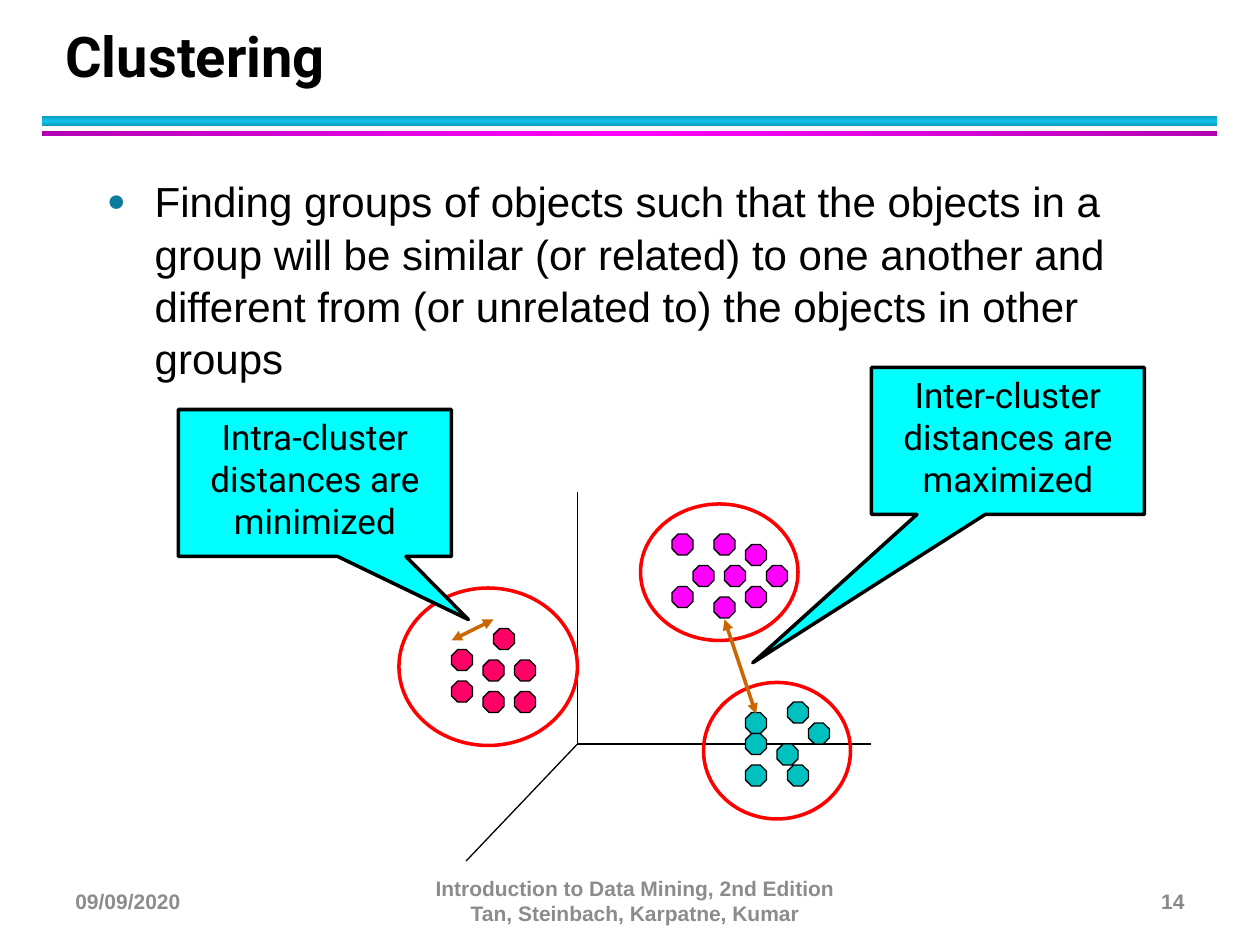
from lxml import etree
from pptx import Presentation
from pptx.dml.color import RGBColor
from pptx.enum.shapes import MSO_CONNECTOR, MSO_SHAPE as Shape
from pptx.enum.text import MSO_ANCHOR as Anchor, PP_ALIGN as Align
from pptx.oxml import parse_xml
from pptx.oxml.ns import nsdecls, qn
from pptx.util import Inches, Pt

TITLE = "Clustering"
DEFINITION = ("Finding groups of objects such that the objects in a group will be similar "
              "(or related) to one another and different from (or unrelated to) "
              "the objects in other groups")
# text, left, width, alignment, colour
FOOTERS = [
    ("09/09/2020", 0.5, 2.33, Align.LEFT, "8C8C8C"),
    ("Introduction to Data Mining, 2nd Edition\vTan, Steinbach, Karpatne, Kumar",
     3.33, 3.42, Align.CENTER, "8C8C8C"),
    ("14", 7.17, 2.33, Align.RIGHT, "898989"),
]
# top, height, edge colour, middle colour, angle
RULES = [(0.92, 0.08, "0E9BBA", "12C2E9", 90), (1.04, 0.04, "B200B2", "FF00FF", 0)]

# The diagram lies on a grid of twelve cells to the inch.
CELL = 1 / 12
AXIS_TOP, ORIGIN = 46.86, (55, 70.86)
AXIS_ENDS = [(55, AXIS_TOP), (83, 70.86), (44.4, 82)]
# colour, ring (left, top, width, height), points (column, row below the axis top)
CLUSTERS = [
    ("FF00FF", (61, 48, 15, 13), [(66, 7), (69, 7), (68, 4), (68, 10), (73, 7),
                                  (71, 5), (64, 4), (71, 9), (64, 9)]),
    ("FF0066", (38, 56, 17, 15), [(43, 15), (46, 16), (46, 19), (49, 16),
                                  (47, 13), (49, 19), (43, 18)]),
    ("00C0C0", (67, 65, 14, 13), [(71, 21), (77, 22), (74, 24), (71, 26),
                                  (75, 26), (71, 23), (75, 20)]),
]
DISTANCES = [((72, 68), (69, 59)), ((43, 61), (47, 59))]
# text, left, top, pointer adjustments
CALLOUTS = [
    ("Inter-cluster distances are maximized", 83, 35, (-0.935, 1.509)),
    ("Intra-cluster distances are minimized", 17, 39, (0.562, 0.929)),
]

prs = Presentation()
prs.slide_width, prs.slide_height = Inches(10), Inches(7.5)
slide = prs.slides.add_slide(prs.slide_layouts[6])


def rgb(colour):
    return RGBColor.from_string(colour)


def cells(*values):
    return [value * CELL for value in values]


def write(shape, text, size, font, colour="000000", bold=False,
          align=Align.LEFT, anchor=Anchor.TOP):
    frame = shape.text_frame
    frame.word_wrap = True
    frame.vertical_anchor = anchor
    paragraph = frame.paragraphs[0]
    paragraph.text = text
    paragraph.alignment = align
    for run in paragraph.runs:
        run.font.size, run.font.name, run.font.bold = Pt(size), font, bold
        run.font.color.rgb = rgb(colour)
    return paragraph


def add_text(box, *args, **options):
    return write(slide.shapes.add_textbox(*map(Inches, box)), *args, **options)


def add_shape(kind, box, fill=None, line=None, width=0.75):
    shape = slide.shapes.add_shape(kind, *map(Inches, box))
    shape.shadow.inherit = False
    if fill:
        shape.fill.solid()
        shape.fill.fore_color.rgb = rgb(fill)
    else:
        shape.fill.background()
    if line:
        shape.line.color.rgb = rgb(line)
        shape.line.width = Pt(width)
    else:
        shape.line.fill.background()
    return shape


def add_line(start, end, colour, width, arrows=False):
    line = slide.shapes.add_connector(
        MSO_CONNECTOR.STRAIGHT, *map(Inches, cells(*start, *end)))
    line.line.color.rgb = rgb(colour)
    line.line.width = Pt(width)
    properties = line.line._get_or_add_ln()
    if arrows:
        for end_tag in ("a:headEnd", "a:tailEnd"):
            etree.SubElement(properties, qn(end_tag), type="triangle")
    etree.SubElement(properties.getparent(), qn("a:effectLst"))


def add_bullet(paragraph, colour):
    properties = paragraph._p.get_or_add_pPr()
    properties.set("marL", str(Inches(0.38)))
    properties.set("indent", str(-Inches(0.38)))
    color = etree.SubElement(properties, qn("a:buClr"))
    etree.SubElement(color, qn("a:srgbClr"), val=colour)
    etree.SubElement(properties, qn("a:buSzPct"), val="75000")
    etree.SubElement(properties, qn("a:buFont"), typeface="Arial")
    etree.SubElement(properties, qn("a:buChar"), char="●")


def add_rule(top, height, edge, middle, angle):
    """Band that fades from its edge colour to its middle colour and back."""
    rule = add_shape(Shape.RECTANGLE, (0.33, top, 9.33, height))
    stops = "".join(f'<a:gs pos="{pos}"><a:srgbClr val="{colour}"/></a:gs>'
                    for pos, colour in ((0, edge), (50000, middle), (100000, edge)))
    gradient = parse_xml(f'<a:gradFill {nsdecls("a")}><a:gsLst>{stops}</a:gsLst>'
                         f'<a:lin ang="{angle * 60000}" scaled="0"/></a:gradFill>')
    no_fill = rule._element.spPr.find(qn("a:noFill"))
    no_fill.getparent().replace(no_fill, gradient)


for rule in RULES:
    add_rule(*rule)

heading = add_text((0.42, 0.17, 9.06, 0.58), TITLE, 32, "Roboto", bold=True,
                   anchor=Anchor.BOTTOM)
heading.line_spacing = Pt(36)

definition = add_text((0.75, 1.33, 8.5, 2.42), DEFINITION, 24, "Arial")
definition.line_spacing = 1.04
definition.space_before, definition.space_after = Pt(2), Pt(4)
add_bullet(definition, "0C7B9C")

for axis_end in AXIS_ENDS:
    add_line(ORIGIN, axis_end, "000000", 0.75)

for colour, _, points in CLUSTERS:
    for column, row in points:
        add_shape(Shape.OCTAGON, cells(column, AXIS_TOP + row, 2, 2), colour, "000000")

for _, ring, _ in CLUSTERS:
    add_shape(Shape.OVAL, cells(*ring), line="FF0000", width=2)

for start, end in DISTANCES:
    add_line(start, end, "CC6600", 2, arrows=True)

for text, left, top, pointer in CALLOUTS:
    callout = add_shape(Shape.RECTANGULAR_CALLOUT, cells(left, top, 26, 14),
                        "00FFFF", "000000", 2)
    callout.adjustments[0], callout.adjustments[1] = pointer
    write(callout, text, 20, "Roboto", align=Align.CENTER)

for text, left, width, align, colour in FOOTERS:
    add_text((left, 6.95, width, 0.4), text, 12, "Arial", colour, bold=True,
             align=align, anchor=Anchor.MIDDLE)

prs.save("out.pptx")
